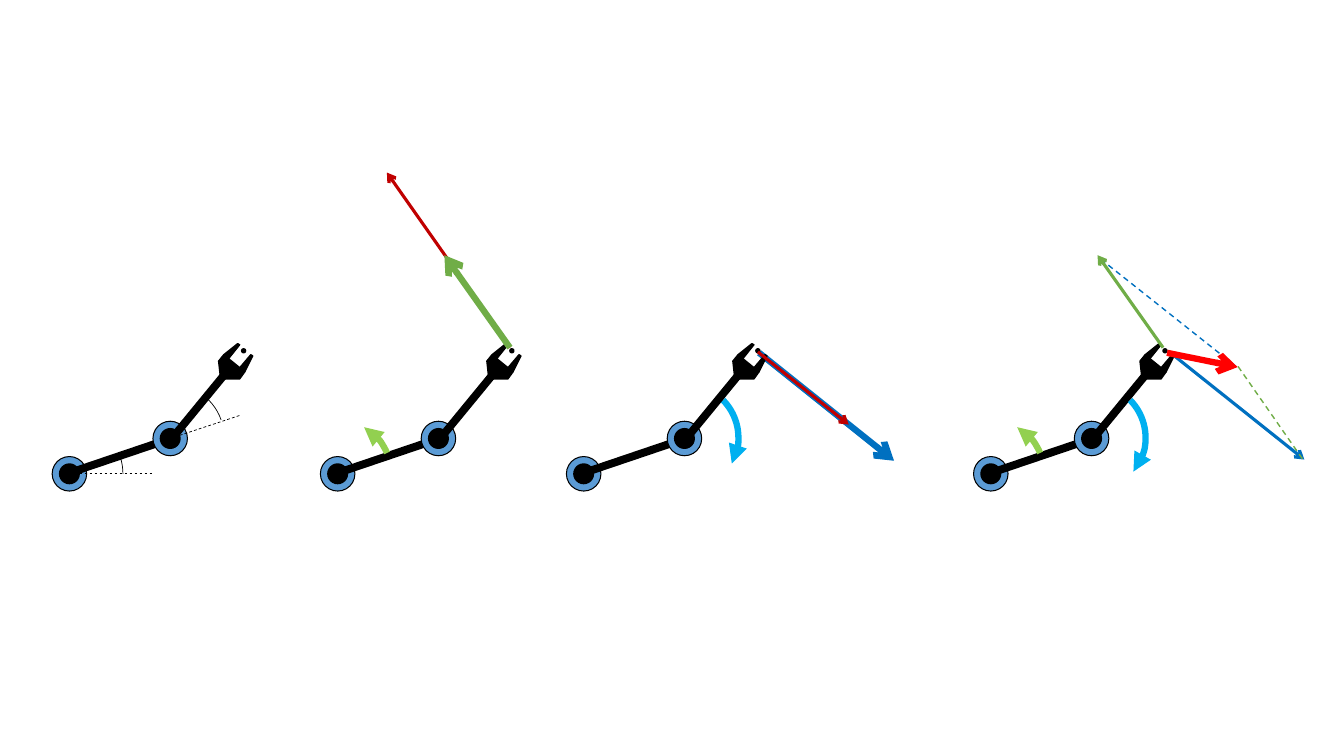
from lxml.etree import SubElement
from pptx import Presentation
from pptx.dml.color import RGBColor
from pptx.enum.dml import MSO_LINE
from pptx.enum.shapes import MSO_CONNECTOR, MSO_SHAPE
from pptx.oxml.ns import qn
from pptx.util import Cm, Pt

BLACK, JOINT_BLUE = "000000", "5B9BD5"
GREEN, LIME, BLUE, SKY = "70AD47", "92D050", "0070C0", "00B0F0"
DARK_RED, RED = "C00000", "FF0000"

# All positions are centimetres from the centre of an arm's base joint
BASE, ELBOW, SWING_CENTRE, TIP = (0, 0), (2.54, -0.89), (2.55, -0.91), (4.39, -3.1)
HAND, GREEN_END = (4.34, -3.18), (2.69, -5.51)
LINKS = {  # centre, length, rotation
    "upper": ((1.21, -0.43), 2.72, 341.3),
    "forearm": ((3.21, -1.65), 2.16, 309.4),
}
GRIPPER = [
    [(3.76, -2.84), (3.89, -3.0), (4.42, -2.57), (4.29, -2.39), (3.81, -2.39)],
    [(3.89, -3.0), (4.24, -3.28), (4.29, -3.25), (4.01, -2.9)],
    [(4.42, -2.57), (4.62, -2.97), (4.57, -3.0), (4.29, -2.67)],
]
BASE_Y, LINK_WIDTH, JOINT_SIZE, HUB_SIZE, TIP_SIZE, ARC_RADIUS = 11.94, 0.2, 0.87, 0.53, 0.1, 1.35

# Lines: start, end, colour, points, style ("dash" or "arrow")
# Arcs: centre, start angle, end angle, colour, points, arrow end
BASE_TURN = (BASE, 299.6, 337.1, LIME, 4.5, "headEnd")
STAGES = [
    {"x": 1.75,
     "lines": [(ELBOW, (4.29, -1.47), BLACK, 0.5, "dash"),
               ((-0.25, 0), (2.13, 0), BLACK, 0.5, "dash")],
     "arcs": [(BASE, 341.7, 0, BLACK, 0.5, None),
              (SWING_CENTRE, 311.7, 340.6, BLACK, 0.5, None)]},
    {"x": 8.51,
     "arcs": [BASE_TURN],
     "lines": [(HAND, (1.24, -7.59), DARK_RED, 2.25, "arrow"),
               (HAND, GREEN_END, GREEN, 4.5, "arrow")]},
    {"x": 14.71,
     "lines behind": [((4.42, -3.05), (7.82, -0.33), BLUE, 4.5, "arrow")],
     "arcs behind": [(SWING_CENTRE, 315.4, 28.8, SKY, 4.5, "tailEnd")],
     "lines": [((4.39, -3.07), (6.68, -1.24), DARK_RED, 2.25, "arrow")]},
    {"x": 24.97,
     "lines behind": [((2.77, -5.41), (6.2, -2.69), BLUE, 1, "dash")],
     "arcs": [BASE_TURN, (SWING_CENTRE, 315.4, 39.3, SKY, 4.5, "tailEnd")],
     "lines": [(HAND, GREEN_END, GREEN, 2.25, "arrow"),
               ((4.5, -3.07), (7.9, -0.36), BLUE, 2.25, "arrow"),
               ((7.85, -0.38), (6.22, -2.72), GREEN, 1, "dash"),
               ((4.44, -3.05), (6.22, -2.69), RED, 4.5, "arrow")]},
]

deck = Presentation()
deck.slide_width, deck.slide_height = Cm(33.87), Cm(19.05)
page = deck.slides.add_slide(deck.slide_layouts[6])


def colour(value):
    return RGBColor.from_string(value)


def place(base_x, point):
    return Cm(base_x + point[0]), Cm(BASE_Y + point[1])


def paint(shape, fill=None, line=None, points=1):
    shape.shadow.inherit = False
    if fill:
        shape.fill.solid()
        shape.fill.fore_color.rgb = colour(fill)
    else:
        shape.fill.background()
    if line:
        shape.line.color.rgb = colour(line)
        shape.line.width = Pt(points)
    else:
        shape.line.fill.background()


def add_head(shape, end, kind):
    SubElement(shape._element.spPr.find(qn("a:ln")), qn("a:" + end), type=kind)


def draw_centred(kind, base_x, centre, width, height, rotation=0):
    x, y = place(base_x, centre)
    shape = page.shapes.add_shape(kind, x - Cm(width / 2), y - Cm(height / 2), Cm(width), Cm(height))
    shape.rotation = rotation
    return shape


def draw_line(base_x, start, end, tint, points, style):
    line = page.shapes.add_connector(
        MSO_CONNECTOR.STRAIGHT, *place(base_x, start), *place(base_x, end))
    line.line.color.rgb = colour(tint)
    line.line.width = Pt(points)
    if style == "dash":
        line.line.dash_style = MSO_LINE.DASH
    else:
        add_head(line, "tailEnd", "arrow")
    SubElement(line._element.spPr, qn("a:effectLst"))


def draw_arc(base_x, centre, start, end, tint, points, arrow_end):
    arc = draw_centred(MSO_SHAPE.ARC, base_x, centre, 2 * ARC_RADIUS, 2 * ARC_RADIUS)
    # Adjustments count 100000ths, angles count 60000ths of a degree
    arc.adjustments[0], arc.adjustments[1] = start * 0.6, end * 0.6
    paint(arc, line=tint, points=points)
    if arrow_end:
        add_head(arc, arrow_end, "triangle")


def draw_joint(base_x, centre):
    paint(draw_centred(MSO_SHAPE.OVAL, base_x, centre, JOINT_SIZE, JOINT_SIZE), JOINT_BLUE, BLACK, 0.75)
    paint(draw_centred(MSO_SHAPE.OVAL, base_x, centre, HUB_SIZE, HUB_SIZE), BLACK)


def draw_link(base_x, name):
    centre, length, rotation = LINKS[name]
    paint(draw_centred(MSO_SHAPE.RECTANGLE, base_x, centre, length, LINK_WIDTH, rotation), BLACK)


def draw_arm(base_x):
    draw_joint(base_x, BASE)
    draw_link(base_x, "upper")
    draw_joint(base_x, ELBOW)
    draw_link(base_x, "forearm")
    for outline in GRIPPER:
        first, *others = [place(base_x, point) for point in outline]
        builder = page.shapes.build_freeform(*first)
        builder.add_line_segments(others, close=True)
        paint(builder.convert_to_shape(), BLACK, BLACK)
    paint(draw_centred(MSO_SHAPE.OVAL, base_x, TIP, TIP_SIZE, TIP_SIZE), BLACK, BLACK)


def draw_motion(stage, layer=""):
    for arc in stage.get("arcs" + layer, []):
        draw_arc(stage["x"], *arc)
    for line in stage.get("lines" + layer, []):
        draw_line(stage["x"], *line)


# One arm per stage, with its motion behind and in front
for stage in STAGES:
    draw_motion(stage, " behind")
    draw_arm(stage["x"])
    draw_motion(stage)

deck.save("out.pptx")
